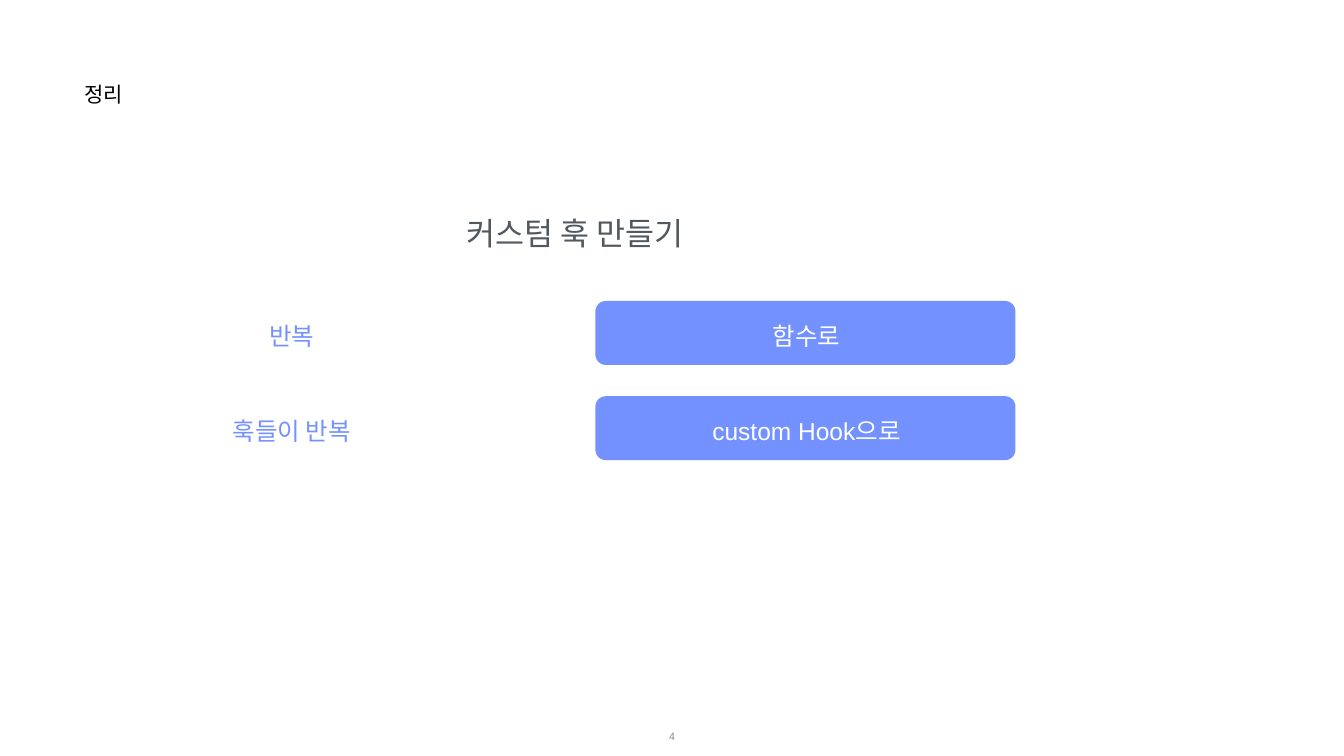
from pptx import Presentation
from pptx.dml.color import RGBColor
from pptx.enum.shapes import MSO_SHAPE
from pptx.enum.text import MSO_ANCHOR, MSO_AUTO_SIZE, PP_ALIGN
from pptx.util import Pt

ROUND = MSO_SHAPE.ROUNDED_RECTANGLE
TOP, MIDDLE = MSO_ANCHOR.TOP, MSO_ANCHOR.MIDDLE
LEFT, CENTER = PP_ALIGN.LEFT, PP_ALIGN.CENTER
FIXED = MSO_AUTO_SIZE.NONE
BLUE, WHITE = "7391FF", "FFFFFF"


def color(target, value):
    target.rgb = RGBColor.from_string(value)


def write(shape, text, size, tone, align=CENTER, anchor=MIDDLE, inset=0.72):
    frame = shape.text_frame
    frame.word_wrap = True
    frame.auto_size = FIXED
    frame.vertical_anchor = anchor
    frame.margin_left = frame.margin_right = Pt(inset)
    frame.margin_top = frame.margin_bottom = Pt(min(inset, 3.6))
    para = frame.paragraphs[0]
    para.alignment = align
    para.space_before = Pt(0)
    run = para.add_run()
    run.text = text
    run.font.name = "Arial"
    run.font.size = Pt(size)
    color(run.font.color, tone)


deck = Presentation()
deck.slide_width, deck.slide_height = Pt(1919.52), Pt(1080)
slide = deck.slides.add_slide(deck.slide_layouts[5])
shapes = slide.shapes

title = shapes.title
title.left, title.top = Pt(120.24), Pt(115.2)
title.width, title.height = Pt(349.92), Pt(84.96)
write(title, "정리", 30, "000000", LEFT, TOP)

head = shapes.add_textbox(Pt(190), Pt(305.28), Pt(1263), Pt(57))
write(head, "커스텀 훅 만들기", 45, "53585F", anchor=TOP)

rows = [("반복", "함수로"), ("훅들이 반복", "custom Hook으로")]
for i, (cause, answer) in enumerate(rows):
    top = 430 + 136 * i
    pill = shapes.add_shape(ROUND, Pt(850.3), Pt(top), Pt(600), Pt(91.4))
    pill.adjustments[0] = 0.164
    pill.shadow.inherit = False
    pill.fill.solid()
    color(pill.fill.fore_color, BLUE)
    pill.line.fill.background()
    for text, left, width, tone in (
        (cause, 192, 450, BLUE),
        (answer, 851.8, 600, WHITE),
    ):
        label = shapes.add_textbox(Pt(left), Pt(top + 27), Pt(width), Pt(44.6))
        write(label, text, 35, tone)

number = shapes.add_textbox(Pt(743.76), Pt(1023), Pt(432), Pt(57))
write(number, "4", 15, "888888", inset=7.2)

deck.save("out.pptx")
